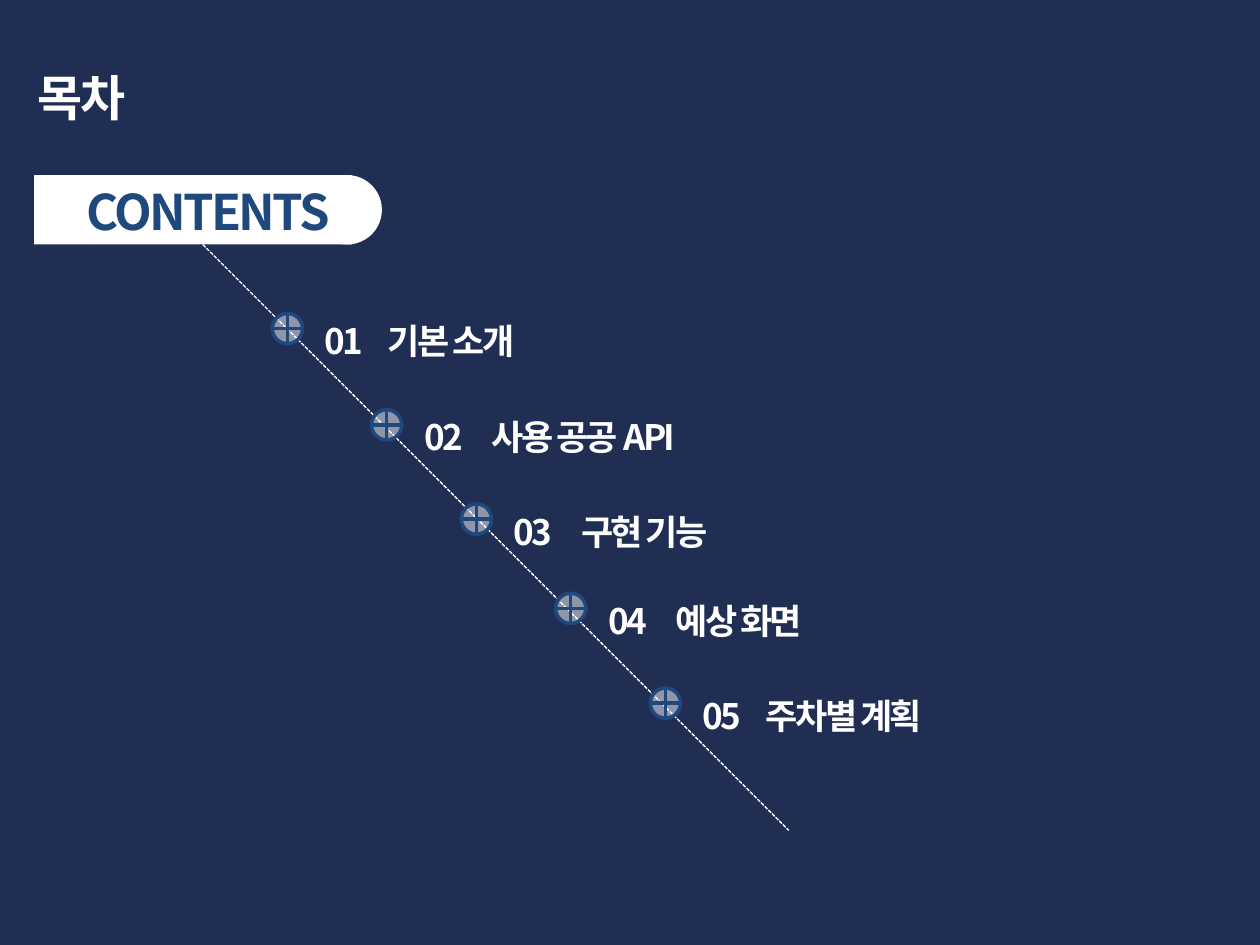
from dataclasses import dataclass

from lxml.etree import SubElement
from pptx import Presentation
from pptx.dml.color import RGBColor
from pptx.enum.dml import MSO_LINE
from pptx.enum.shapes import MSO_CONNECTOR, MSO_SHAPE
from pptx.enum.text import MSO_ANCHOR, MSO_AUTO_SIZE, PP_ALIGN
from pptx.oxml.ns import qn
from pptx.util import Cm, Pt


@dataclass(frozen=True)
class Theme:
    """Colours, font and type sizes of the slide."""
    navy: RGBColor = RGBColor(0x21, 0x2E, 0x53)
    blue: RGBColor = RGBColor(0x1F, 0x49, 0x7D)
    white: RGBColor = RGBColor(0xFF, 0xFF, 0xFF)
    font: str = "Noto Sans CJK KR"
    heading: int = 28
    entry: int = 20
    tracking: float = -1.5


@dataclass(frozen=True)
class Chapter:
    """A contents entry with its marker position and title indent in cm."""
    number: str
    title: str
    left: float
    top: float
    indent: float


THEME = Theme()
MARKER_SIZE = 0.61
LABEL_OFFSET = 0.81
BANNER_TOP = 3.53
BANNER_HEIGHT = 1.4
CHAPTERS = (
    Chapter("01", "기본 소개", 5.49, 6.32, 1.27),
    Chapter("02", "사용 공공 API", 7.49, 8.26, 1.36),
    Chapter("03", "구현 기능", 9.3, 10.16, 1.36),
    Chapter("04", "예상 화면", 11.2, 11.96, 1.36),
    Chapter("05", "주차별 계획", 13.11, 13.87, 1.27),
)


def write_text(holder, text: str, *, size: int, color: RGBColor, indent: float = 0) -> None:
    """Write one bold, tightly tracked paragraph with an optional hanging indent."""
    frame = holder.text_frame
    frame.word_wrap = True
    frame.auto_size = MSO_AUTO_SIZE.SHAPE_TO_FIT_TEXT
    frame.vertical_anchor = MSO_ANCHOR.TOP
    paragraph = frame.paragraphs[0]
    paragraph.alignment = PP_ALIGN.LEFT
    if indent:
        properties = paragraph._p.get_or_add_pPr()
        properties.set("marL", str(Cm(indent)))
        properties.set("indent", str(-Cm(indent)))
    run = paragraph.add_run()
    run.text = text
    font = run.font
    font.size, font.bold, font.name = Pt(size), True, THEME.font
    font.color.rgb = color
    run_properties = run._r.get_or_add_rPr()
    run_properties.set("spc", str(round(THEME.tracking * 100)))
    SubElement(run_properties, qn("a:ea"), typeface=THEME.font)


def add_filled(shapes, kind: MSO_SHAPE, left: float, top: float, width: float, height: float):
    """Add a white preset shape without outline or shadow."""
    shape = shapes.add_shape(kind, Cm(left), Cm(top), Cm(width), Cm(height))
    shape.shadow.inherit = False
    shape.fill.solid()
    shape.fill.fore_color.rgb = THEME.white
    shape.line.fill.background()
    return shape


def add_title(slide) -> None:
    """Place the slide title in the title placeholder."""
    title = slide.shapes.title
    title.left, title.top, title.width, title.height = Cm(0.51), Cm(1.24), Cm(17.2), Cm(1.45)
    write_text(title, "목차", size=THEME.heading, color=THEME.white)


def add_banner(slide) -> None:
    """Draw the round-ended banner and its caption."""
    banner = slide.shapes.add_group_shape()
    add_filled(banner.shapes, MSO_SHAPE.RECTANGLE, 0.69, BANNER_TOP, 6.4, BANNER_HEIGHT)
    add_filled(banner.shapes, MSO_SHAPE.OVAL, 6.3, BANNER_TOP, BANNER_HEIGHT, BANNER_HEIGHT)
    caption = slide.shapes.add_textbox(Cm(1.5), Cm(BANNER_TOP), Cm(6.4), Cm(1.45))
    write_text(caption, "CONTENTS", size=THEME.heading, color=THEME.blue)


def add_trail(slide) -> None:
    """Draw the dashed diagonal that carries the markers."""
    trail = slide.shapes.add_connector(
        MSO_CONNECTOR.STRAIGHT, Cm(4.09), Cm(4.93), Cm(15.9), Cm(16.74))
    trail.line.color.rgb = THEME.white
    trail.line.width = Pt(0.75)
    trail.line.dash_style = MSO_LINE.SQUARE_DOT
    SubElement(trail._element.spPr, qn("a:effectLst"))


def add_chapter(slide, chapter: Chapter) -> None:
    """Draw a half-transparent marker and the chapter label beside it."""
    marker = add_filled(slide.shapes, MSO_SHAPE.FLOWCHART_OR,
                        chapter.left, chapter.top, MARKER_SIZE, MARKER_SIZE)
    tint = marker._element.spPr.find(qn("a:solidFill")).find(qn("a:srgbClr"))
    SubElement(tint, qn("a:alpha"), val="50000")
    marker.line.color.rgb = THEME.blue
    marker.line.width = Pt(2)
    label = slide.shapes.add_textbox(
        Cm(chapter.left + LABEL_OFFSET), Cm(chapter.top), Cm(10.4), Cm(1.12))
    write_text(label, f"{chapter.number}\t{chapter.title}",
               size=THEME.entry, color=THEME.white, indent=chapter.indent)


def main() -> None:
    """Build and save the contents slide."""
    deck = Presentation()
    deck.slide_width, deck.slide_height = Cm(25.4), Cm(19.05)
    slide = deck.slides.add_slide(deck.slide_layouts.get_by_name("Title Only"))
    slide.background.fill.solid()
    slide.background.fill.fore_color.rgb = THEME.navy
    add_title(slide)
    add_banner(slide)
    add_trail(slide)
    for chapter in CHAPTERS:
        add_chapter(slide, chapter)
    deck.save("out.pptx")


if __name__ == "__main__":
    main()
